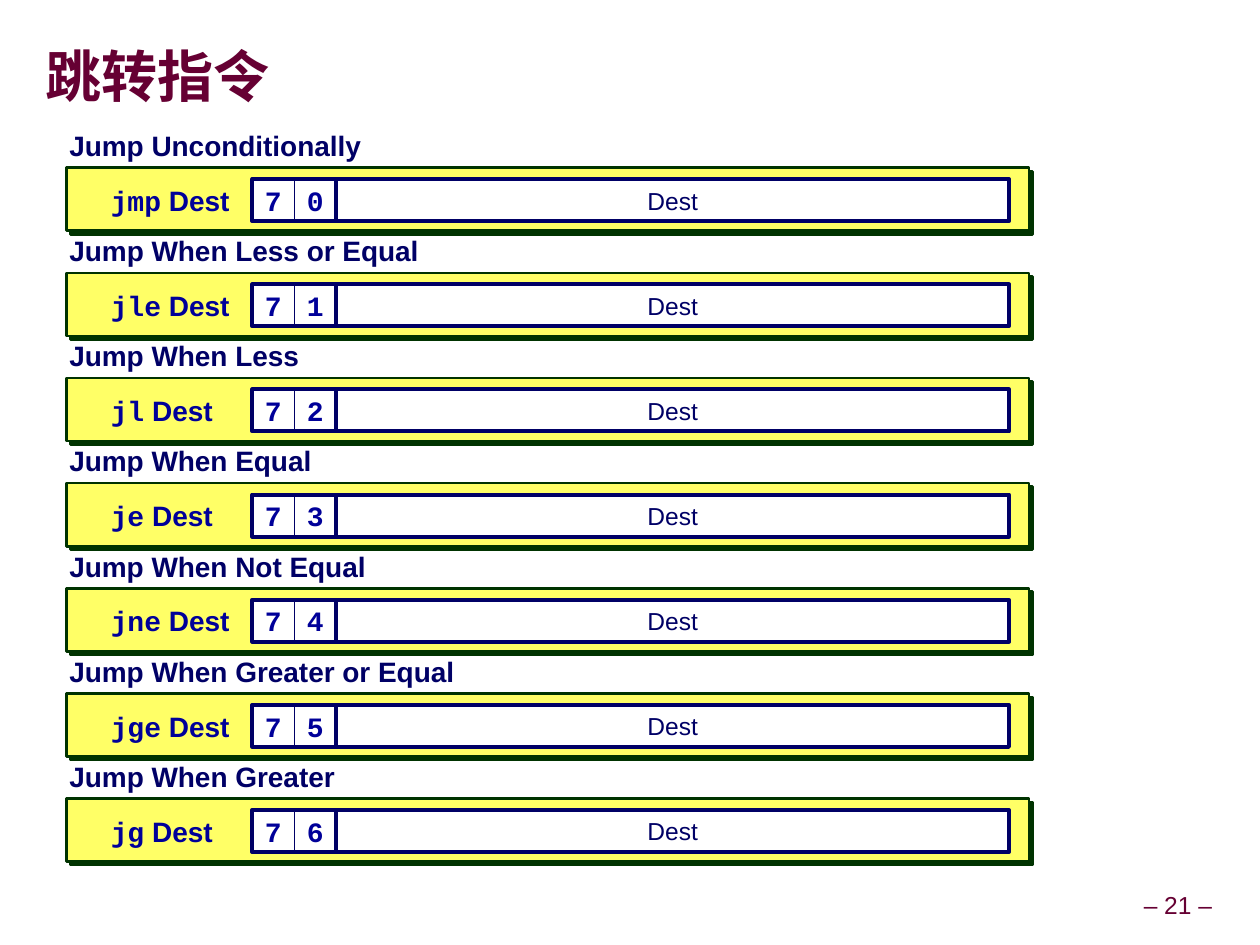
from dataclasses import dataclass

from lxml.etree import SubElement
from pptx import Presentation
from pptx.dml.color import RGBColor
from pptx.enum.shapes import MSO_SHAPE
from pptx.enum.text import MSO_ANCHOR, MSO_AUTO_SIZE, PP_ALIGN
from pptx.oxml.ns import qn
from pptx.shapes.autoshape import Shape
from pptx.shapes.shapetree import GroupShapes, SlideShapes
from pptx.util import Inches, Pt

COLORS = {
    "maroon": "660033",
    "navy": "000066",
    "code": "000099",
    "yellow": "FFFF66",
    "green": "003300",
    "white": "FFFFFF",
}
SANS, MONO, CJK = "Arial", "Courier New", "Noto Sans CJK SC"

FIRST_TOP = 1.0
ROW_PITCH = 5 / 6
CELL = 1 / 3
CODE_LEFT = 2.0


@dataclass(frozen=True)
class Run:
    text: str
    size: float
    font: str
    color: str
    bold: bool = True


@dataclass(frozen=True)
class Jump:
    caption: str
    caption_width: float
    mnemonic: str
    condition: str


@dataclass(frozen=True)
class Box:
    left: float
    top: float
    width: float
    height: float

    def lengths(self) -> tuple[int, ...]:
        return tuple(Inches(v) for v in (self.left, self.top, self.width, self.height))


JUMPS = [
    Jump("Jump Unconditionally", 2.44, "jmp", "0"),
    Jump("Jump When Less or Equal", 2.88, "jle", "1"),
    Jump("Jump When Less", 1.93, "jl", "2"),
    Jump("Jump When Equal", 2.03, "je", "3"),
    Jump("Jump When Not Equal", 2.46, "jne", "4"),
    Jump("Jump When Greater or Equal", 3.16, "jge", "5"),
    Jump("Jump When Greater", 2.21, "jg", "6"),
]


def rgb(name: str) -> RGBColor:
    return RGBColor.from_string(COLORS[name])


def write(shape: Shape, runs: list[Run], align: PP_ALIGN = PP_ALIGN.LEFT,
          anchor: MSO_ANCHOR = MSO_ANCHOR.MIDDLE, inset: float | None = None,
          spacing: float | None = None, wrap: bool = False, grow: bool = False) -> None:
    frame = shape.text_frame
    frame.word_wrap = wrap
    frame.vertical_anchor = anchor
    frame.auto_size = MSO_AUTO_SIZE.SHAPE_TO_FIT_TEXT if grow else MSO_AUTO_SIZE.NONE
    if inset is not None:
        frame.margin_left = frame.margin_right = Inches(inset)
        frame.margin_top = frame.margin_bottom = Inches(inset)
    paragraph = frame.paragraphs[0]
    paragraph.alignment = align
    if spacing is not None:
        paragraph.line_spacing = spacing
    for item in runs:
        run = paragraph.add_run()
        run.text = item.text
        run.font.size = Pt(item.size)
        run.font.bold = item.bold
        run.font.name = item.font
        run.font.color.rgb = rgb(item.color)
        if item.font == CJK:
            SubElement(run.font._element, qn("a:ea"), typeface=CJK)


def add_rect(shapes: SlideShapes | GroupShapes, box: Box, fill: str | None,
             line: str, weight: float) -> Shape:
    rect = shapes.add_shape(MSO_SHAPE.RECTANGLE, *box.lengths())
    rect.shadow.inherit = False
    if fill is None:
        rect.fill.background()
    else:
        rect.fill.solid()
        rect.fill.fore_color.rgb = rgb(fill)
    rect.line.color.rgb = rgb(line)
    rect.line.width = Pt(weight)
    return rect


def cast_shadow(shape: Shape, color: str) -> None:
    effects = shape._element.spPr.find(qn("a:effectLst"))
    shadow = SubElement(effects, qn("a:outerShdw"), dist=str(Pt(2.8)),
                        dir="2700000", algn="ctr", rotWithShape="0")
    SubElement(shadow, qn("a:srgbClr"), val=COLORS[color])


def draw_jump(shapes: SlideShapes, jump: Jump, top: float) -> None:
    # Yellow band with the assembly form
    band = add_rect(shapes, Box(0.53, top + 0.33, 7.63, 0.5), "yellow", "green", 1.5)
    cast_shadow(band, "green")
    code_top = top + 0.42
    assembly = shapes.add_textbox(*Box(0.78, code_top, 1.22, CELL).lengths())
    write(assembly, [Run(jump.mnemonic, 16, MONO, "code"), Run(" Dest", 16, SANS, "code")])

    # Opcode byte: two hex digits inside a heavy outline
    opcode = shapes.add_group_shape().shapes
    for column, digit in enumerate(("7", jump.condition)):
        nibble = add_rect(opcode, Box(CODE_LEFT + column * CELL, code_top, CELL, CELL),
                          "white", "navy", 0.5)
        write(nibble, [Run(digit, 16, MONO, "code")], PP_ALIGN.CENTER)
    add_rect(opcode, Box(CODE_LEFT, code_top, 2 * CELL, CELL), None, "navy", 2.25)

    # Caption above the band
    caption = shapes.add_textbox(*Box(0.5, top, jump.caption_width, 0.34).lengths())
    write(caption, [Run(jump.caption, 16, SANS, "navy")], anchor=MSO_ANCHOR.TOP,
          inset=0.05, spacing=0.9, grow=True)

    # Destination field
    destination = add_rect(shapes, Box(CODE_LEFT + 2 * CELL, code_top, 16 * CELL, CELL),
                           "white", "navy", 2.25)
    write(destination, [Run("Dest", 14, SANS, "navy", bold=False)], PP_ALIGN.CENTER)


def main() -> None:
    deck = Presentation()
    deck.slide_width, deck.slide_height = Inches(9.99), Inches(7.49)
    slide = deck.slides.add_slide(deck.slide_layouts[6])
    shapes = slide.shapes

    # Page number and title
    page_number = shapes.add_textbox(*Box(9.01, 7.03, 0.66, 0.31).lengths())
    write(page_number, [Run("– 21 –", 14, SANS, "maroon", bold=False)], PP_ALIGN.CENTER,
          inset=0.05, spacing=0.9, grow=True)
    title = shapes.add_textbox(*Box(0.36, 0.21, 9.3, 0.85).lengths())
    write(title, [Run("跳转指令", 32, CJK, "maroon")], inset=0, spacing=0.87, wrap=True)

    # One row per jump instruction
    for row, jump in enumerate(JUMPS):
        draw_jump(shapes, jump, FIRST_TOP + row * ROW_PITCH)

    deck.save("out.pptx")


if __name__ == "__main__":
    main()
